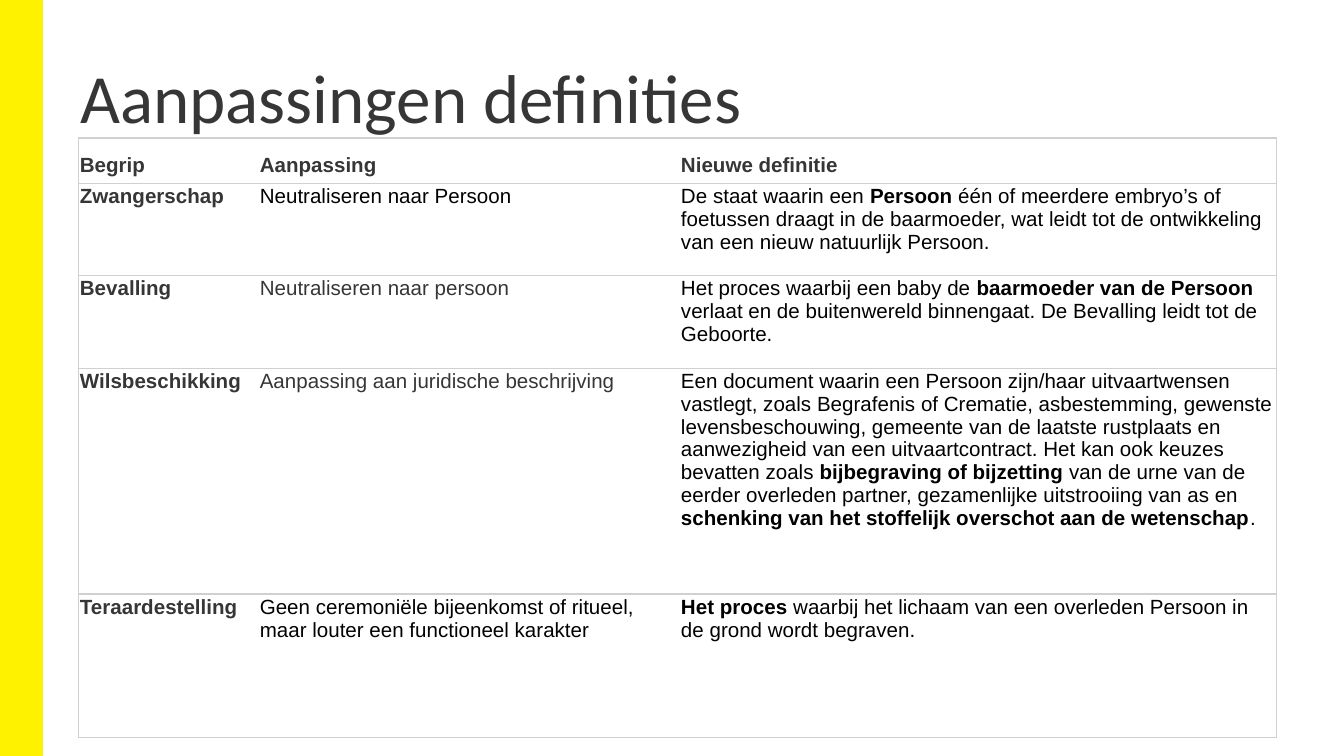
import pptx
import pptx.dml.color
import pptx.enum.shapes
import pptx.enum.text
import pptx.oxml.ns
import pptx.util
from lxml import etree
from pptx.util import Cm

YELLOW, GREY, BLACK, RULE = "FFF200", "373636", "000000", "D0D0D0"


def rgb(value):
    return pptx.dml.color.RGBColor.from_string(value)


def add_border(cell, side, visible):
    qn = pptx.oxml.ns.qn
    line = etree.SubElement(cell._tc.get_or_add_tcPr(), qn("a:ln" + side), w="9525")
    if visible:
        fill = etree.SubElement(line, qn("a:solidFill"))
        etree.SubElement(fill, qn("a:srgbClr"), val=RULE)
    else:
        etree.SubElement(line, qn("a:noFill"))


presentation = pptx.Presentation()
presentation.slide_width = Cm(25.4)
presentation.slide_height = Cm(14.29)
slide = presentation.slides.add_slide(presentation.slide_layouts[5])

side_bar = slide.shapes.add_shape(
    pptx.enum.shapes.MSO_SHAPE.RECTANGLE, 0, 0, Cm(0.79), presentation.slide_height)
side_bar.shadow.inherit = False
side_bar.fill.solid()
side_bar.fill.fore_color.rgb = rgb(YELLOW)
side_bar.line.color.rgb = rgb(YELLOW)
side_bar.line.width = pptx.util.Pt(1)

title = slide.shapes.title
title.left, title.top, title.width, title.height = Cm(1.27), Cm(0.61), Cm(20.6), Cm(2.34)
heading = title.text_frame
heading.text = "Aanpassingen definities"
heading.margin_left = heading.margin_right = Cm(0.25)
heading.margin_top = heading.margin_bottom = Cm(0.25)
heading.vertical_anchor = pptx.enum.text.MSO_ANCHOR.MIDDLE
heading.auto_size = pptx.enum.text.MSO_AUTO_SIZE.NONE
heading.paragraphs[0].alignment = pptx.enum.text.PP_ALIGN.LEFT
heading.paragraphs[0].line_spacing = 1.03
heading_font = heading.paragraphs[0].runs[0].font
heading_font.name = "Calibri"
heading_font.size = pptx.util.Pt(37)
heading_font.color.rgb = rgb(GREY)

BOLD_MARK = "**"
definitions = [
    ("**Begrip**", "**Aanpassing**", "**Nieuwe definitie**"),
    ("**Zwangerschap**", "Neutraliseren naar Persoon",
     "De staat waarin een **Persoon **één of meerdere embryo’s of foetussen draagt in de "
     "baarmoeder, wat leidt tot de ontwikkeling van een nieuw natuurlijk Persoon."),
    ("**Bevalling**", "Neutraliseren naar persoon",
     "Het proces waarbij een baby de **baarmoeder van de Persoon **verlaat en de "
     "buitenwereld binnengaat. De Bevalling leidt tot de Geboorte."),
    ("**Wilsbeschikking**", "Aanpassing aan juridische beschrijving",
     "Een document waarin een Persoon zijn/haar uitvaartwensen vastlegt, zoals Begrafenis of "
     "Crematie, asbestemming, gewenste levensbeschouwing, gemeente van de laatste rustplaats en "
     "aanwezigheid van een uitvaartcontract. Het kan ook keuzes bevatten zoals "
     "**bijbegraving of bijzetting **van de urne van de eerder overleden partner, gezamenlijke "
     "uitstrooiing van as en **schenking van het stoffelijk overschot aan de wetenschap**."),
    ("**Teraardestelling**",
     "Geen ceremoniële bijeenkomst of ritueel, maar louter een functioneel karakter",
     "**Het proces **waarbij het lichaam van een overleden Persoon in de grond wordt begraven."),
]
text_colors = [
    (GREY, GREY, GREY),
    (GREY, BLACK, BLACK),
    (GREY, GREY, BLACK),
    (GREY, GREY, BLACK),
    (GREY, BLACK, BLACK),
]
column_widths = [3.4, 7.96, 11.29]
row_heights = [0.86, 1.74, 1.75, 4.27, 2.71]

table = slide.shapes.add_table(
    len(row_heights), len(column_widths), Cm(1.48), Cm(2.61),
    Cm(sum(column_widths)), Cm(sum(row_heights))).table
table.first_row = False
table.horz_banding = False
for column, width in zip(table.columns, column_widths):
    column.width = Cm(width)

for r, (definition, colors) in enumerate(zip(definitions, text_colors)):
    table.rows[r].height = Cm(row_heights[r])
    for c, (wording, color) in enumerate(zip(definition, colors)):
        cell = table.cell(r, c)
        cell.margin_left = cell.margin_right = cell.margin_top = Cm(0.03)
        cell.margin_bottom = Cm(0.13)
        cell.vertical_anchor = (pptx.enum.text.MSO_ANCHOR.BOTTOM if r == 0
                                else pptx.enum.text.MSO_ANCHOR.TOP)
        add_border(cell, "L", c == 0)
        add_border(cell, "R", c == len(column_widths) - 1)
        add_border(cell, "T", True)
        add_border(cell, "B", True)
        cell.fill.background()
        for part, words in enumerate(wording.split(BOLD_MARK)):
            if words:
                run = cell.text_frame.paragraphs[0].add_run()
                run.text = words
                run.font.name = "Arial"
                run.font.size = pptx.util.Pt(11)
                run.font.bold = part % 2 == 1
                run.font.color.rgb = rgb(color)

presentation.save("out.pptx")
